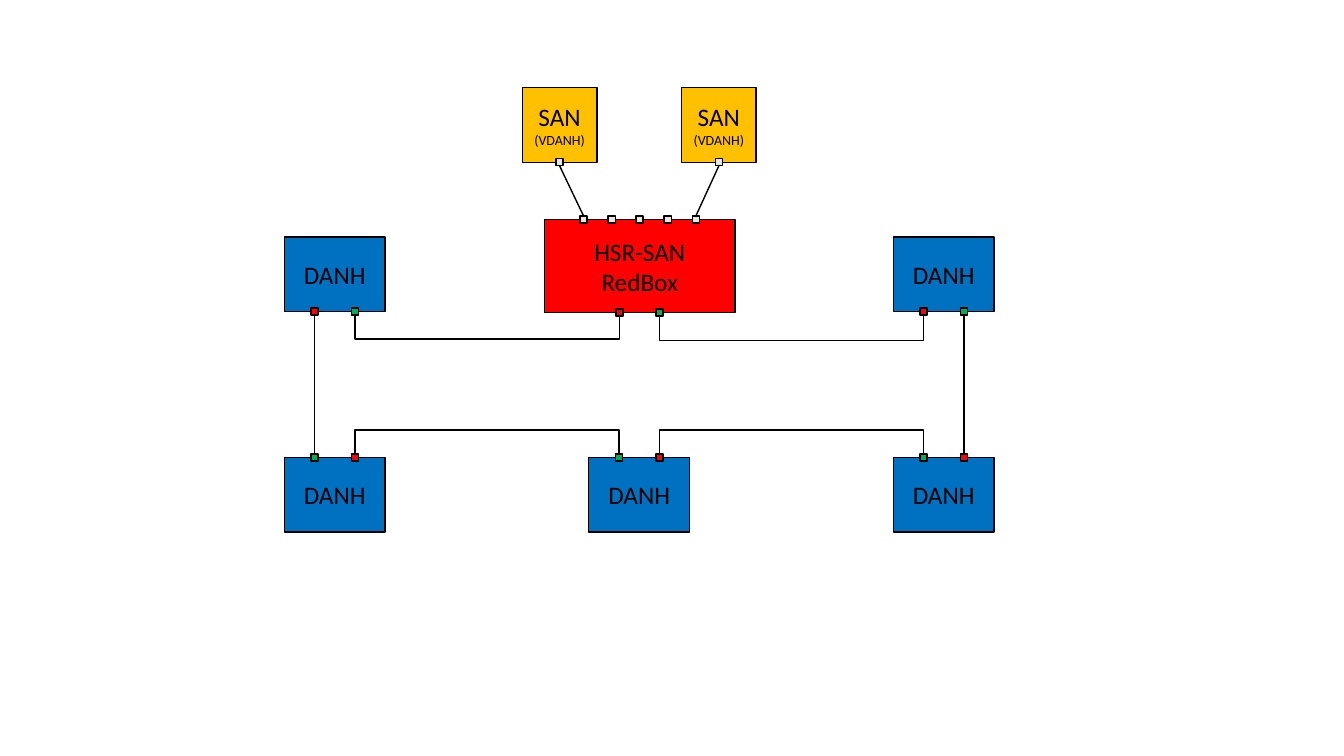
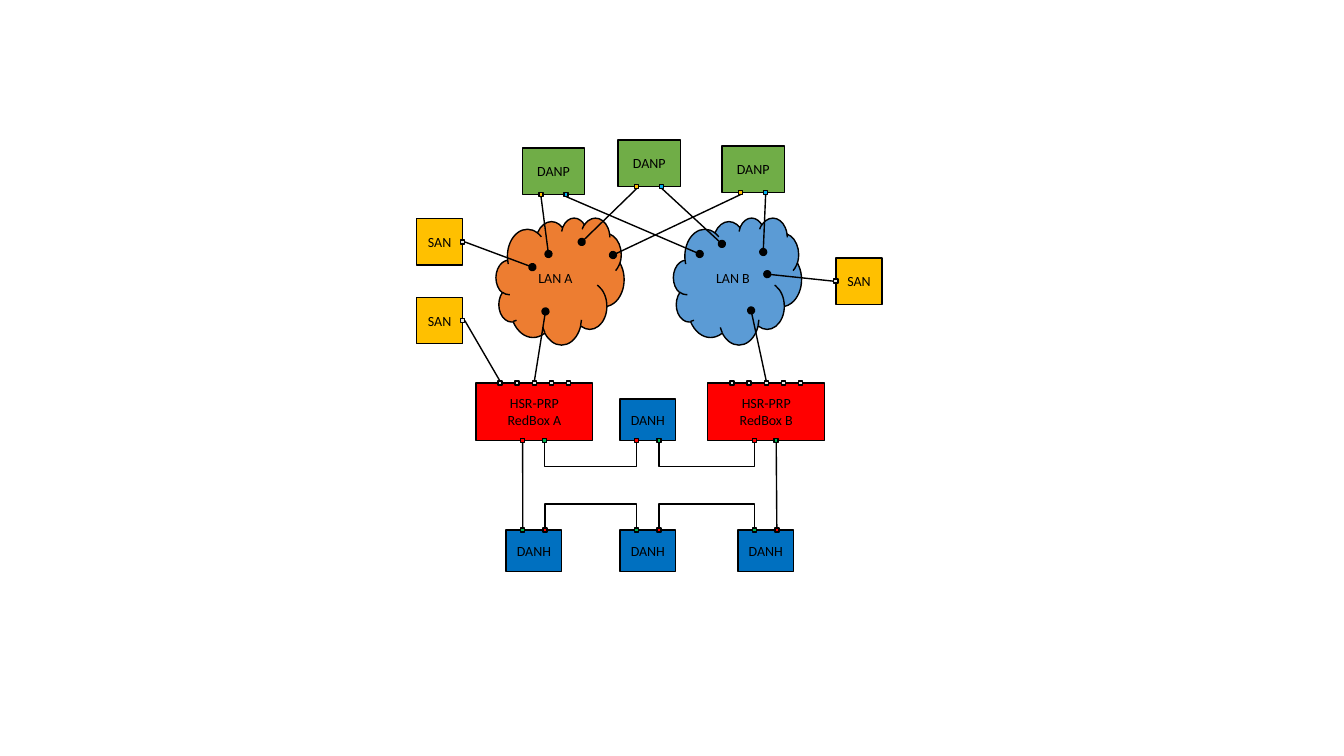
import pptx
import pptx.util
import pptx.dml.color
import pptx.enum.shapes
import pptx.enum.text
import pptx.oxml
import pptx.oxml.ns
import lxml.etree

Inches, Pt = pptx.util.Inches, pptx.util.Pt
SHAPE = pptx.enum.shapes.MSO_SHAPE

# Shared look
HUE = {"ink": "000000", "red": "FF0000", "green": "00B050", "blue": "0070C0",
       "gold": "FFC000", "gray": "E7E6E6", "leaf": "70AD47", "cyan": "00B0F0",
       "lan a": "ED7D31", "lan b": "5B9BD5"}
FONT = "Calibri"
BIG = {"pt": 18, "port": 0.07}
SMALL = {"pt": 10, "port": 0.04}
DROP = 0.24  # depth of the bent wires

# Ports: (share of width, share of height, colour)
FEET = [(0.3, 1, "red"), (0.7, 1, "green")]
TOES = [(0.3, 0, "green"), (0.7, 0, "red")]
PAIR = [(0.3, 1, "gold"), (0.7, 1, "cyan")]
HEADS = [(0.5 + 0.147 * (i - 2), 0, "gray") for i in range(5)]


def rgb(name):
    return pptx.dml.color.RGBColor.from_string(HUE[name])


def stroke(line):
    line.color.rgb = rgb("ink")
    line.width = Pt(1)


def inset(box, rel):
    """Turn a box given relative to another one into slide inches."""
    return (box[0] + rel[0], box[1] + rel[1], *rel[2:])


def write(frame, text, size, sub=None):
    """Write centred lines; those after the first may have their own size."""
    frame.word_wrap = True
    frame.vertical_anchor = pptx.enum.text.MSO_ANCHOR.MIDDLE
    frame.margin_left = frame.margin_right = 0
    frame.margin_top = frame.margin_bottom = 0
    for i, part in enumerate(text.split("\n")):
        para = frame.paragraphs[0] if i == 0 else frame.add_paragraph()
        para.alignment = pptx.enum.text.PP_ALIGN.CENTER
        run = para.add_run()
        run.text = part
        run.font.name = FONT
        run.font.size = Pt(sub if sub and i else size)
        run.font.color.rgb = rgb("ink")


def block(slide, box, fill, kind=SHAPE.RECTANGLE):
    shape = slide.shapes.add_shape(kind, *map(Inches, box))
    shape.shadow.inherit = False
    shape.fill.solid()
    shape.fill.fore_color.rgb = rgb(fill)
    stroke(shape.line)
    return shape


def node(slide, box, look, text, fill, ports, sub=None):
    """Draw a device with its ports; return the outer tip of each port."""
    write(block(slide, box, fill).text_frame, text, size=look["pt"], sub=sub)
    left, top, wide, high = box
    side = look["port"]
    half = side / 2
    tips = []
    for fx, fy, hue in ports:
        x, y = left + fx * wide, top + fy * high
        block(slide, (x - half, y - half, side, side), hue)
        out = {0: -half, 1: half}
        tips.append((x + out.get(fx, 0), y + out.get(fy, 0)))
    return tips


def link(slide, start, end, dot=False):
    """Draw a straight wire, with a round end if asked."""
    wire = slide.shapes.add_connector(
        pptx.enum.shapes.MSO_CONNECTOR.STRAIGHT, *map(Inches, (*start, *end)))
    stroke(wire.line)
    if dot:
        tail = lxml.etree.SubElement(wire.line._get_or_add_ln(),
                                     pptx.oxml.ns.qn("a:tailEnd"))
        tail.set("type", "oval")
    lxml.etree.SubElement(wire._element.spPr, pptx.oxml.ns.qn("a:effectLst"))


def bend(slide, start, end, drop):
    """Draw a U-shaped wire; a negative drop goes up."""
    level = start[1] + drop
    path_pts = [(start[0], level), (end[0], level), end]
    pen = slide.shapes.build_freeform(*map(Inches, start))
    pen.add_line_segments([tuple(map(Inches, p)) for p in path_pts], close=False)
    wire = pen.convert_to_shape()
    wire.shadow.inherit = False
    wire.fill.background()
    stroke(wire.line)


def ring(slide, box, look, tops, lows):
    """Draw the HSR ring; return the port tips of its upper devices."""
    upper = [node(slide, inset(box, rel), look, text, fill, ports)
             for rel, text, fill, ports in tops]
    lower = [node(slide, inset(box, rel), look, "DANH", "blue", TOES)
             for rel in lows]
    for row, drop in ((upper, DROP), (lower, -DROP)):
        for one, two in zip(row, row[1:]):
            bend(slide, one[1], two[0], drop)
    link(slide, upper[0][0], lower[0][0])
    link(slide, upper[2][1], lower[2][1])
    return upper


def sans(slide, box, heads):
    """Draw the two SANs above the RedBox and wire them to its outer ports."""
    side = box[3]
    for x, head in ((0, heads[0]), (box[2] - side, heads[-1])):
        tips = node(slide, inset(box, (x, 0, side, side)), BIG, "SAN\n(VDANH)",
                    "gold", [(0.5, 1, "gray")], sub=10)
        link(slide, tips[0], head)


def lans(slide, box, reda, redb):
    """Draw both LAN clouds, the devices around them and their wires."""
    clouds = {}
    for name, x in (("A", 0.79), ("B", 2.55)):
        clouds[name] = inset(box, (x, 0.77, 1.27, 1.26))
        cloud = block(slide, clouds[name], "lan " + name.lower(), SHAPE.CLOUD)
        write(cloud.text_frame, "LAN " + name, size=SMALL["pt"])

    def plug(tip, name, spot):
        link(slide, tip, inset(clouds[name], spot), dot=True)

    # Single attached nodes
    west, south, east = [
        node(slide, inset(box, (x, y, 0.46, 0.46)), SMALL, "SAN", "gold",
             [(edge, 0.5, "gray")])[0]
        for x, y, edge in ((0, 0.78, 1), (0, 1.56, 1), (4.16, 1.17, 0))]
    plug(west, "A", (0.36, 0.49))
    plug(east, "B", (0.93, 0.56))
    link(slide, south, reda[0])

    # Doubly attached nodes: place, spot in LAN A, spot in LAN B
    for x, y, spota, spotb in ((1.05, 0.08, (0.52, 0.36), (0.26, 0.36)),
                               (2, 0, (0.85, 0.24), (0.48, 0.26)),
                               (3.03, 0.06, (1.16, 0.37), (0.89, 0.34))):
        tips = node(slide, inset(box, (x, y, 0.62, 0.46)), SMALL, "DANP",
                    "leaf", PAIR)
        plug(tips[0], "A", spota)
        plug(tips[1], "B", spotb)

    # RedBoxes
    plug(reda[2], "A", (0.49, 0.93))
    plug(redb[2], "B", (0.77, 0.92))


def hsr(slide):
    feet = [(0.395, 1, "red"), (0.605, 1, "green")]
    tops = [((0, 0.17, 1, 0.74), "DANH", "blue", FEET),
            ((2.58, 0, 1.89, 0.92), "HSR-SAN\nRedBox", "red", feet + HEADS),
            ((6.04, 0.17, 1, 0.74), "DANH", "blue", FEET)]
    lows = [(3.02 * i, 2.36, 1, 0.74) for i in range(3)]
    upper = ring(slide, (2.82, 2.18, 7.04, 3.1), BIG, tops, lows)
    sans(slide, (5.18, 0.87, 2.32, 0.74), upper[1][2:])


def prp(slide):
    feet = [(0.4, 1, "red"), (0.585, 1, "green")]
    tops = [((0, 0, 1.16, 0.57), "HSR-PRP\nRedBox A", "red", feet + HEADS),
            ((1.43, 0.16, 0.55, 0.41), "DANH", "blue", FEET),
            ((2.3, 0, 1.16, 0.57), "HSR-PRP\nRedBox B", "red", feet + HEADS)]
    lows = [(x, 1.46, 0.55, 0.41) for x in (0.3, 1.43, 2.6)]
    upper = ring(slide, (4.72, 3.8, 3.46, 1.87), SMALL, tops, lows)
    lans(slide, (4.13, 1.39, 4.62, 2.03), upper[0][2:], upper[2][2:])


def main():
    deck = pptx.Presentation()
    deck.slide_width, deck.slide_height = Inches(13.33), Inches(7.5)
    for draw in (hsr, prp):
        draw(deck.slides.add_slide(deck.slide_layouts[6]))
    deck.save("out.pptx")


if __name__ == "__main__":
    main()
